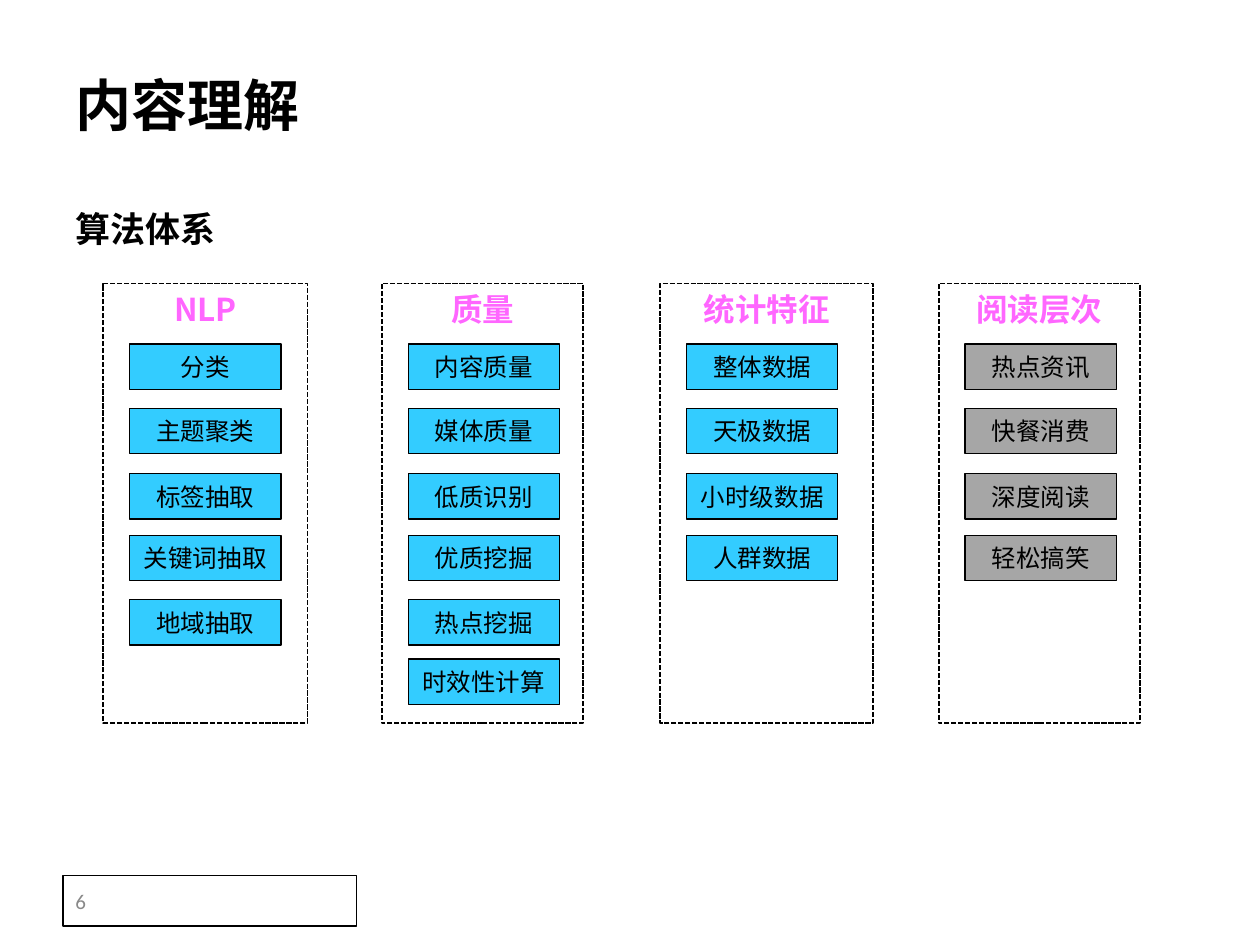
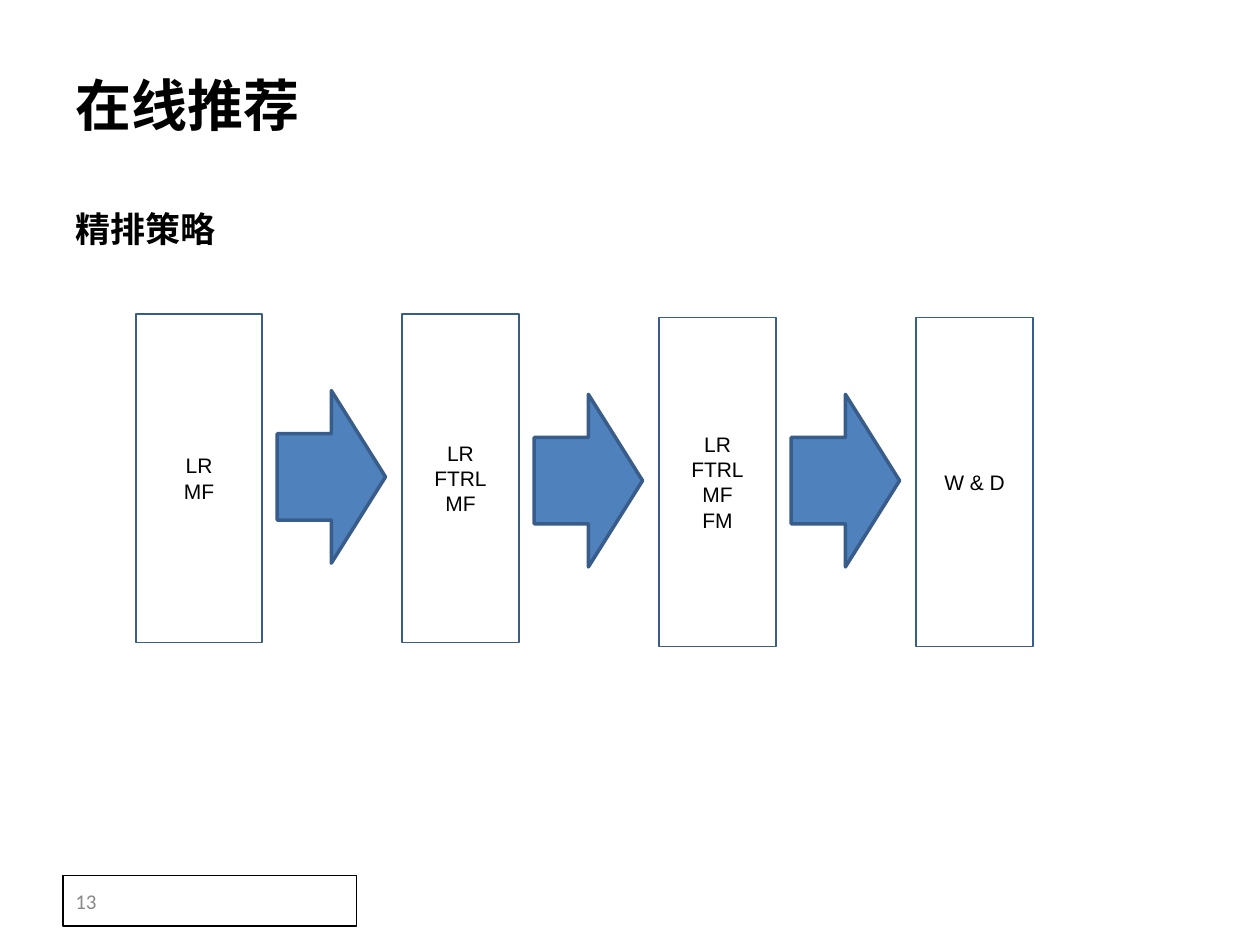
from lxml import etree
from pptx import Presentation
from pptx.dml.color import RGBColor
from pptx.enum.dml import MSO_LINE
from pptx.enum.shapes import MSO_SHAPE
from pptx.enum.text import MSO_ANCHOR, MSO_AUTO_SIZE, PP_ALIGN
from pptx.oxml.ns import qn
from pptx.util import Inches, Pt

RECT, PROCESS, ARROW = MSO_SHAPE.RECTANGLE, MSO_SHAPE.FLOWCHART_PROCESS, MSO_SHAPE.RIGHT_ARROW
TOP, MIDDLE = MSO_ANCHOR.TOP, MSO_ANCHOR.MIDDLE
LEFT, CENTER = PP_ALIGN.LEFT, PP_ALIGN.CENTER
DASH = MSO_LINE.SQUARE_DOT
TITLE_ONLY = 5

BLACK = RGBColor(0x00, 0x00, 0x00)
WHITE = RGBColor(0xFF, 0xFF, 0xFF)
GRAY = RGBColor(0x89, 0x89, 0x89)
PINK = RGBColor(0xFF, 0x66, 0xFF)
CYAN = RGBColor(0x33, 0xCC, 0xFF)
SILVER = RGBColor(0xA6, 0xA6, 0xA6)
BLUE = RGBColor(0x4F, 0x81, 0xBD)
NAVY = RGBColor(0x38, 0x5D, 0x8A)

CJK = "Noto Sans CJK SC"
MARGIN = 0.5


def write(sp, text, size=14, font=CJK, color=BLACK, bold=False,
          align=CENTER, anchor=MIDDLE, spacing=None):
    """Fill a shape with text, one paragraph per line."""
    tf = sp.text_frame
    tf.auto_size = MSO_AUTO_SIZE.NONE
    tf.word_wrap = True
    tf.vertical_anchor = anchor
    tf.text = text
    for p in tf.paragraphs:
        p.alignment = align
        p.line_spacing = spacing
        for r in p.runs:
            r.font.size, r.font.name, r.font.bold = Pt(size), font, bold
            r.font.color.rgb = color
            ea = etree.SubElement(r.font._element, qn("a:ea"))
            ea.set("typeface", font)


def add_box(s, kind, left, top, width, height, fill, line=BLACK, weight=0.75):
    """Add a flat preset shape, measured in inches."""
    sp = s.shapes.add_shape(kind, Inches(left), Inches(top), Inches(width), Inches(height))
    sp.shadow.inherit = False
    sp.fill.solid()
    sp.fill.fore_color.rgb = fill
    sp.line.color.rgb = line
    sp.line.width = Pt(weight)
    return sp


prs = Presentation()
prs.slide_width, prs.slide_height = Inches(10), Inches(7.5)

# Shared frame: title, subtitle and page number
slides = []
for title, subtitle, number in [("内容理解", "算法体系", "6"), ("在线推荐", "精排策略", "13")]:
    s = prs.slides.add_slide(prs.slide_layouts[TITLE_ONLY])
    sp = s.shapes.title
    sp.left, sp.top, sp.width, sp.height = Inches(MARGIN), Inches(0.51), Inches(2.5), Inches(0.75)
    write(sp, title, size=32, bold=True, align=LEFT, anchor=TOP)
    sp = s.shapes.add_textbox(Inches(MARGIN), Inches(1.43), Inches(2.68), Inches(0.6))
    write(sp, subtitle, size=20, bold=True, align=LEFT, anchor=TOP, spacing=1.5)
    sp = add_box(s, RECT, MARGIN, 6.95, 2.33, 0.4, WHITE)
    write(sp, number, size=12, font="Calibri", color=GRAY, align=LEFT)
    slides.append(s)
content_slide, ranking_slide = slides

# Content understanding: four dashed columns of algorithm chips
COLUMN_LEFT, COLUMN_TOP, COLUMN_PITCH, COLUMN_HEIGHT = 0.82, 2.25, 2.21, 3.49
CHIP_INDENT, CHIP_WIDTH, CHIP_HEIGHT = 0.21, 1.2, 0.36
CHIP_TOPS = [2.73, 3.24, 3.76, 4.25, 4.76, 5.23]
columns = [
    ("NLP", 1.62, CYAN, ["分类", "主题聚类", "标签抽取", "关键词抽取", "地域抽取"]),
    ("质量", 1.6, CYAN, ["内容质量", "媒体质量", "低质识别", "优质挖掘", "热点挖掘", "时效性计算"]),
    ("统计特征", 1.69, CYAN, ["整体数据", "天极数据", "小时级数据", "人群数据"]),
    ("阅读层次", 1.6, SILVER, ["热点资讯", "快餐消费", "深度阅读", "轻松搞笑"]),
]
for i, (heading, width, fill, chips) in enumerate(columns):
    left = COLUMN_LEFT + i * COLUMN_PITCH
    sp = add_box(content_slide, RECT, left, COLUMN_TOP, width, COLUMN_HEIGHT, WHITE, weight=1)
    sp.line.dash_style = DASH
    write(sp, heading, size=18, color=PINK, bold=True, anchor=TOP)
    for top, chip in zip(CHIP_TOPS, chips):
        sp = add_box(content_slide, RECT, left + CHIP_INDENT, top, CHIP_WIDTH, CHIP_HEIGHT, fill)
        write(sp, chip)

# Online ranking: model stages joined by block arrows
STAGE_RIGHT, STAGE_PITCH, STAGE_HEIGHT = 2.08, 2.04, 2.61
ARROW_GAP, ARROW_DROP = 0.12, 0.61
stages = [("LR\nMF", 1.0, 2.49), ("LR\nFTRL\nMF", 0.93, 2.49),
          ("LR\nFTRL\nMF\nFM", 0.93, 2.52), ("W & D", 0.93, 2.52)]
for i, (models, width, top) in enumerate(stages):
    right = STAGE_RIGHT + i * STAGE_PITCH
    sp = add_box(ranking_slide, PROCESS, right - width, top, width, STAGE_HEIGHT, WHITE, NAVY, 1)
    write(sp, models, size=12, font="Arial")
    if i < len(stages) - 1:
        next_top = stages[i + 1][2]
        add_box(ranking_slide, ARROW, right + ARROW_GAP, next_top + ARROW_DROP,
                0.86, 1.37, BLUE, NAVY, 2)

prs.save("out.pptx")
